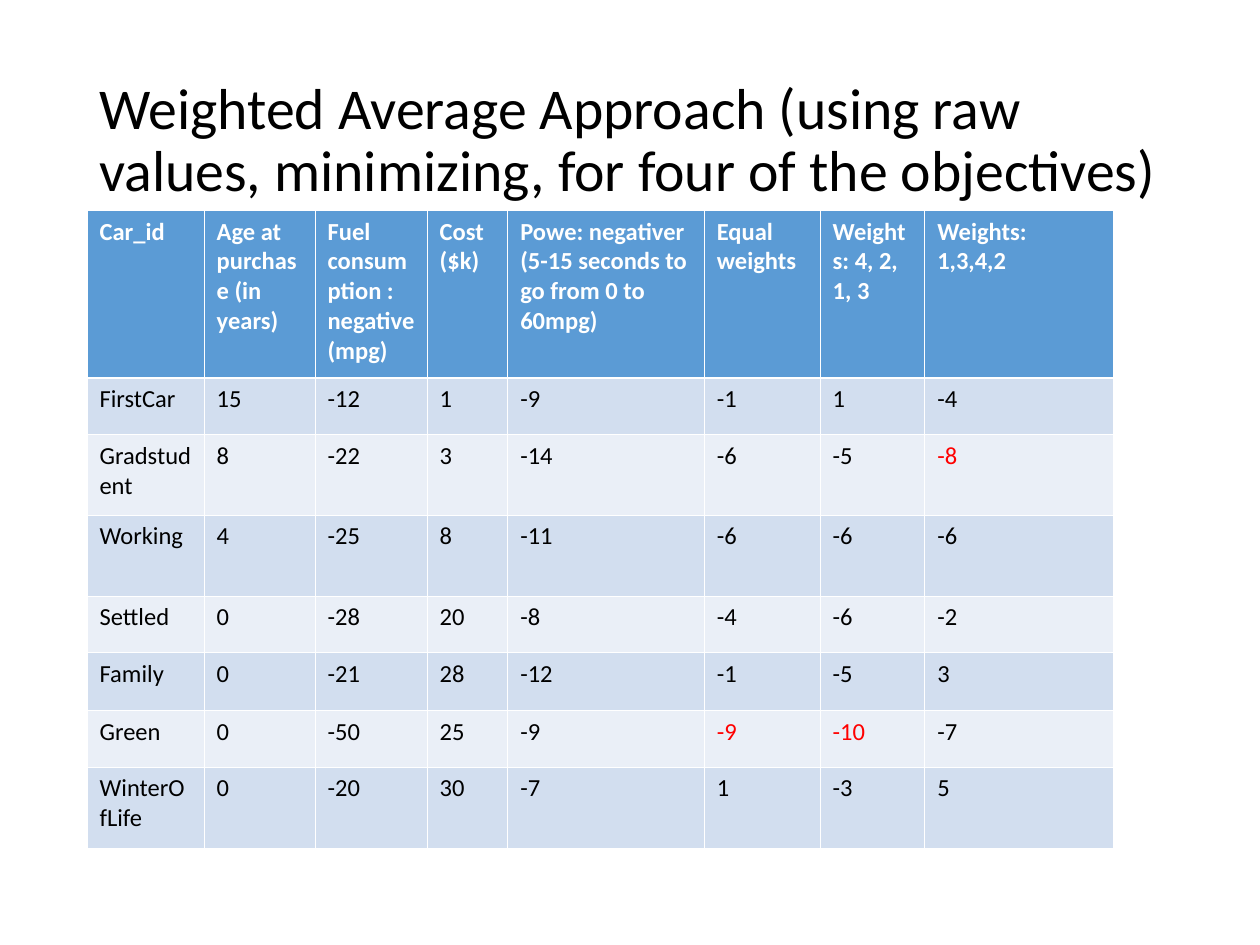
import pptx
import pptx.dml.color
import pptx.enum.text
import pptx.oxml.ns
import pptx.util
from lxml import etree

Inches = pptx.util.Inches
Pt = pptx.util.Pt
RGB = pptx.dml.color.RGBColor.from_string

TITLE = "Weighted Average Approach (using raw values, minimizing, for four of the objectives)"
HEADERS = [
    "Car_id",
    "Age at purchase (in years)",
    "Fuel consumption : negative(mpg)",
    "Cost ($k)",
    "Powe: negativer (5-15 seconds to go from 0 to 60mpg)",
    "Equal weights",
    "Weights: 4, 2, 1, 3",
    "Weights:  1,3,4,2",
]
CARS = [
    ("FirstCar", 15, -12, 1, -9, -1, 1, -4),
    ("Gradstudent", 8, -22, 3, -14, -6, -5, -8),
    ("Working", 4, -25, 8, -11, -6, -6, -6),
    ("Settled", 0, -28, 20, -8, -4, -6, -2),
    ("Family", 0, -21, 28, -12, -1, -5, 3),
    ("Green", 0, -50, 25, -9, -9, -10, -7),
    ("WinterOfLife", 0, -20, 30, -7, 1, -3, 5),
]
SCORE_COLS = (5, 6, 7)
COL_WIDTHS = [0.93, 0.88, 0.89, 0.64, 1.56, 0.92, 0.83, 1.5]
ROW_HEIGHTS = [1.33, 0.45, 0.64, 0.64, 0.45, 0.46, 0.45, 0.64]

THEME = {
    "font": "Calibri",
    "title_size": 33,
    "cell_size": 14,
    "text": "000000",
    "header_text": "FFFFFF",
    "best": "FF0000",
    "header_fill": "5B9BD5",
    "bands": ("EAEFF7", "D2DEEF"),
    "border": "FFFFFF",
    "thin": 0.45,
    "thick": 1.47,
}


def write(tf, text, size, color, bold=False):
    p = tf.paragraphs[0]
    r = p.add_run()
    r.text = text
    formats = {"name": THEME["font"], "size": Pt(size), "bold": bold}
    for name, value in formats.items():
        setattr(r.font, name, value)
    r.font.color.rgb = RGB(color)
    return p


def set_borders(cell, widths):
    tc_pr = cell._tc.get_or_add_tcPr()
    qn = pptx.oxml.ns.qn
    for i, (side, width) in enumerate(widths.items()):
        ln = etree.Element(qn("a:ln" + side), w=str(int(Pt(width))))
        fill = etree.SubElement(ln, qn("a:solidFill"))
        etree.SubElement(fill, qn("a:srgbClr"), val=THEME["border"])
        tc_pr.insert(i, ln)


def add_title(s):
    tf = s.shapes.add_textbox(Inches(0.69), Inches(0.4), Inches(8.63), Inches(1.45)).text_frame
    formats = {"word_wrap": True, "vertical_anchor": pptx.enum.text.MSO_ANCHOR.MIDDLE}
    for name, value in formats.items():
        setattr(tf, name, value)
    p = write(tf, TITLE, THEME["title_size"], THEME["text"])
    p.line_spacing = 0.9


def add_scores(s):
    rows = [HEADERS] + CARS
    best = {c: min(car[c] for car in CARS) for c in SCORE_COLS}
    table = s.shapes.add_table(
        len(rows), len(HEADERS), Inches(0.69), Inches(1.67),
        Inches(sum(COL_WIDTHS)), Inches(sum(ROW_HEIGHTS)),
    ).table
    for col, width in zip(table.columns, COL_WIDTHS):
        col.width = Inches(width)
    for row, height in zip(table.rows, ROW_HEIGHTS):
        row.height = Inches(height)
    for i, values in enumerate(rows):
        header = i == 0
        widths = dict.fromkeys("LRTB", THEME["thin"])
        if i < 2:
            widths["B" if header else "T"] = THEME["thick"]
        for j, value in enumerate(values):
            cell = table.cell(i, j)
            color = THEME["header_text" if header else "best" if value == best.get(j) else "text"]
            write(cell.text_frame, str(value), THEME["cell_size"], color, header)
            cell.fill.solid()
            cell.fill.fore_color.rgb = RGB(THEME["header_fill"] if header else THEME["bands"][i % 2])
            set_borders(cell, widths)


def main():
    prs = pptx.Presentation()
    prs.slide_width, prs.slide_height = Inches(10), Inches(7.5)
    s = prs.slides.add_slide(prs.slide_layouts[6])
    add_title(s)
    add_scores(s)
    prs.save("out.pptx")


if __name__ == "__main__":
    main()
